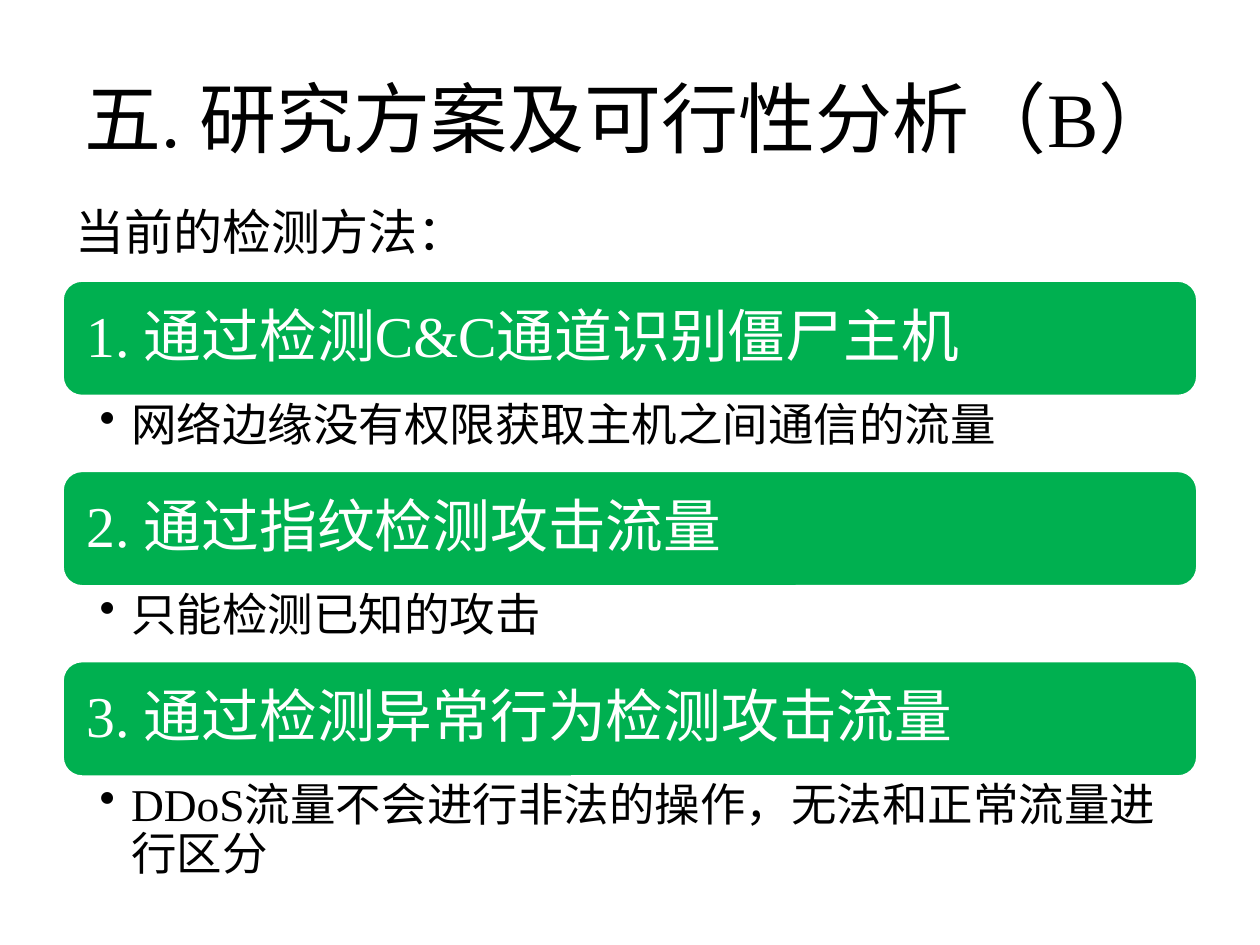
from lxml import etree
from pptx import Presentation
from pptx import util as u
from pptx.dml import color
from pptx.enum import lang, shapes, text
from pptx.oxml import ns

PX = 9144
LEFT, WIDE = 50, 900
TOP, STEP, BAR = 223, 151, 91


def px(n):
    return u.Emu(n * PX)


def rgb(code):
    return color.RGBColor.from_string(code)


def put(item, vals):
    for key, val in vals.items():
        setattr(item, key, val)


class Deck:
    face = "Times New Roman"
    dark, light, green = "000000", "FFFFFF", "00B050"

    def __init__(self, wide, high):
        self.prs = Presentation()
        put(self.prs, {"slide_width": px(wide), "slide_height": px(high)})
        self.slide = self.prs.slides.add_slide(self.prs.slide_layouts[5])

    def fill(self, shape, words, size, ink, frame=None, para=None):
        tf = shape.text_frame
        put(tf, {"word_wrap": True, "auto_size": text.MSO_AUTO_SIZE.NONE})
        put(tf, frame or {})
        p = tf.paragraphs[0]
        put(p, {"alignment": text.PP_ALIGN.LEFT})
        put(p, para or {})
        run = p.add_run()
        run.text = words
        put(run.font, {"name": self.face, "size": u.Pt(size),
                       "language_id": lang.MSO_LANGUAGE_ID.SIMPLIFIED_CHINESE})
        run.font.color.rgb = rgb(ink)
        return p

    def title(self, words, x, y, w, h):
        head = self.slide.shapes.title
        put(head, {"left": px(x), "top": px(y), "width": px(w), "height": px(h)})
        self.fill(head, words, 44, self.dark,
                  {"vertical_anchor": text.MSO_ANCHOR.MIDDLE},
                  {"alignment": text.PP_ALIGN.CENTER})

    def label(self, words, x, y, w, h):
        box = self.slide.shapes.add_textbox(px(x), px(y), px(w), px(h))
        self.fill(box, words, 28, self.dark,
                  {"auto_size": text.MSO_AUTO_SIZE.SHAPE_TO_FIT_TEXT})

    def bar(self, words, x, y, w, h):
        bar = self.slide.shapes.add_shape(
            shapes.MSO_SHAPE.ROUNDED_RECTANGLE, px(x), px(y), px(w), px(h))
        bar.shadow.inherit = False
        bar.fill.solid()
        bar.fill.fore_color.rgb = rgb(self.green)
        bar.line.color.rgb = rgb(self.light)
        bar.line.width = u.Pt(1)
        sides = ("left", "top", "right", "bottom")
        frame = {f"margin_{side}": px(14) for side in sides}
        frame["vertical_anchor"] = text.MSO_ANCHOR.MIDDLE
        self.fill(bar, words, 33, self.light, frame, {"line_spacing": 0.9})

    def point(self, words, x, y, w, h):
        box = self.slide.shapes.add_textbox(px(x), px(y), px(w), px(h))
        frame = {"margin_left": px(29), "margin_right": px(26),
                 "margin_top": px(5), "margin_bottom": px(5)}
        p = self.fill(box, words, 26, self.dark, frame,
                      {"level": 1, "line_spacing": 0.9})
        props = p._p.get_or_add_pPr()
        props.set("marL", str(px(25)))
        props.set("indent", str(-px(25)))
        etree.SubElement(props, ns.qn("a:buChar")).set("char", "•")


def main():
    deck = Deck(1000, 750)
    deck.title("五. 研究方案及可行性分析（B）", LEFT, 30, WIDE, 125)
    rows = [
        ("通过检测C&C通道识别僵尸主机", "网络边缘没有权限获取主机之间通信的流量", 60),
        ("通过指纹检测攻击流量", "只能检测已知的攻击", 60),
        ("通过检测异常行为检测攻击流量",
         "DDoS流量不会进行非法的操作，无法和正常流量进行区分", 95),
    ]
    for i, (head, note, high) in enumerate(rows):
        y = TOP + i * STEP
        deck.bar(f"{i + 1}. {head}", LEFT, y, WIDE, BAR)
        deck.point(note, LEFT, y + BAR, WIDE, high)
    deck.label("当前的检测方法：", LEFT, 155, WIDE, 57)
    deck.prs.save("out.pptx")


if __name__ == "__main__":
    main()
